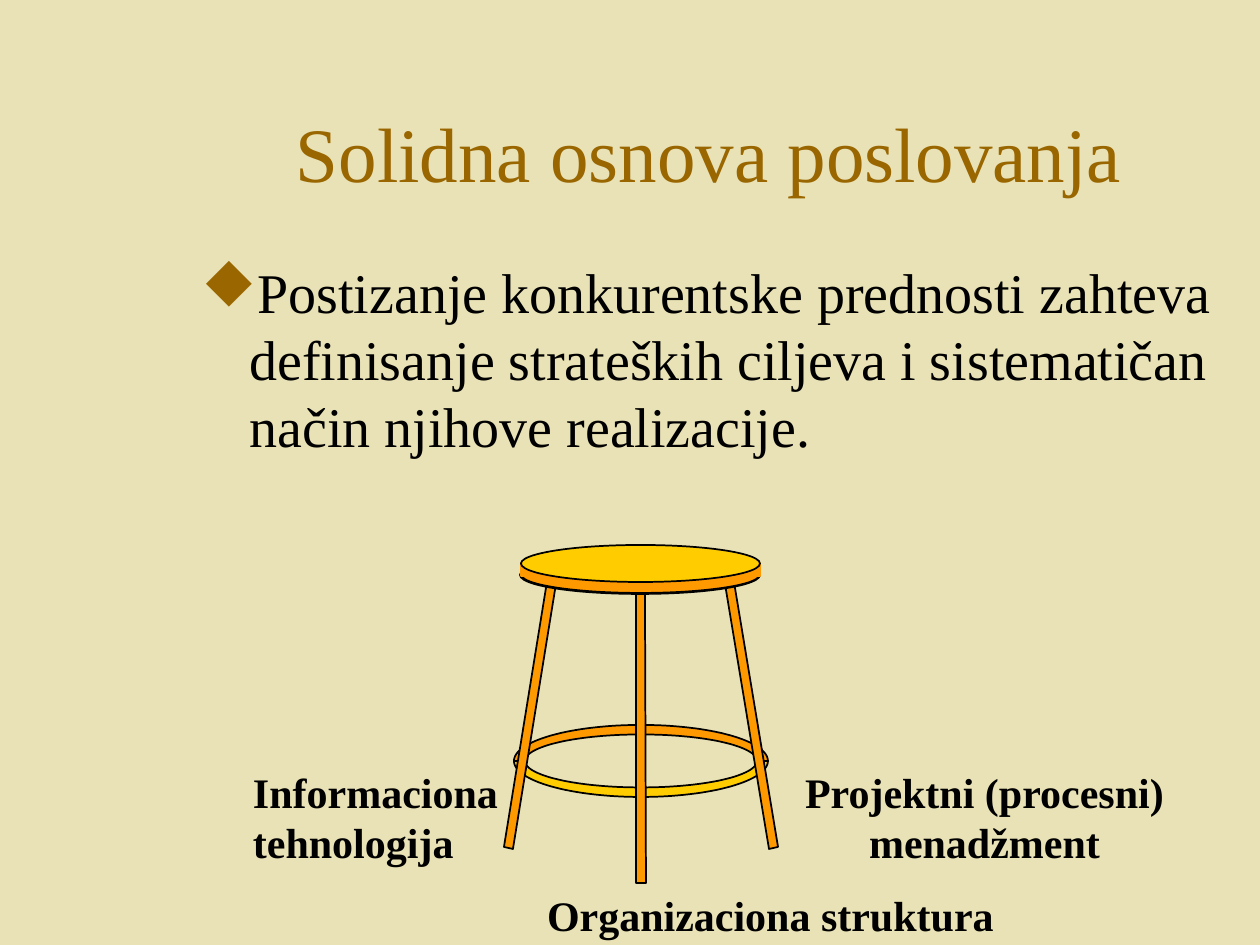
from math import cos, pi, sin

from lxml.etree import SubElement
from pptx import Presentation
from pptx.dml.color import RGBColor
from pptx.enum.shapes import MSO_SHAPE
from pptx.enum.text import MSO_ANCHOR, MSO_AUTO_SIZE, PP_ALIGN
from pptx.oxml.ns import qn
from pptx.util import Emu, Pt

PX = 914400 / 126
FINE = 100  # freeform units per px, so that curves stay smooth
FONT = "Times New Roman"
BULLET_FONT, BULLET_CHAR = "Wingdings", "u"  # a solid diamond in this font
SAND = RGBColor(0xE9, 0xE2, 0xB6)
BROWN = RGBColor(0x99, 0x66, 0x00)
BLACK = RGBColor(0, 0, 0)
ORANGE = RGBColor(0xFF, 0x99, 0x00)
YELLOW = RGBColor(0xFF, 0xCC, 0x00)

TITLE = ("Solidna osnova poslovanja", (189, 73, 1040, 158))
STATEMENT = ("Postizanje konkurentske prednosti zahteva definisanje strateških "
             "ciljeva i sistematičan način njihove realizacije.", (189, 251, 1050, 567))
LEG_LABELS = [
    (["Organizaciona struktura"], (536, 883, 470, 62), PP_ALIGN.LEFT),
    (["Informaciona", "tehnologija"], (242, 760, 278, 112), PP_ALIGN.LEFT),
    (["Projektni (procesni)", "menadžment"], (793, 760, 383, 112), PP_ALIGN.CENTER),
]

RING_CENTER, RING_OUTER, RING_INNER = (641, 761), (127, 36), (116, 26.5)
# Quarter number, counted clockwise from the right, and its colour
RING_QUARTERS = [(3, ORANGE), (0, YELLOW), (1, YELLOW), (2, ORANGE)]
LEGS = [
    [(636, 587), (636, 883), (646, 883), (645, 587)],
    [(548, 576), (504, 847), (513, 849), (557, 578)],
    [(733, 576), (778, 847), (769, 849), (724, 578)],
]
SEAT = [  # shape, box, fill, line
    (MSO_SHAPE.OVAL, (520, 556, 240, 38), None, BLACK),
    (MSO_SHAPE.OVAL, (521, 556, 239, 37), ORANGE, BLACK),
    (MSO_SHAPE.RECTANGLE, (521, 563, 8, 13), ORANGE, ORANGE),
    (MSO_SHAPE.RECTANGLE, (752, 563, 8, 13), ORANGE, ORANGE),
    (MSO_SHAPE.OVAL, (521, 545, 239, 37), YELLOW, BLACK),
]


def emu(box):
    return [Emu(round(length * PX)) for length in box]


def add_text(slide, lines, box, size, color, align=PP_ALIGN.LEFT, bold=False, **frame_format):
    frame = slide.shapes.add_textbox(*emu(box)).text_frame
    for name, value in {"word_wrap": True, **frame_format}.items():
        setattr(frame, name, value)
    frame.text = "\n".join(lines)
    for paragraph in frame.paragraphs:
        paragraph.alignment = align
        font = paragraph.runs[0].font
        for name, value in {"name": FONT, "size": Pt(size), "bold": bold}.items():
            setattr(font, name, value)
        font.color.rgb = color
    return frame


def add_diamond_bullet(paragraph):
    properties = paragraph._p.get_or_add_pPr()
    indent = round(48 * PX)
    properties.set("marL", str(indent))
    properties.set("indent", str(-indent))
    bullet_color = SubElement(properties, qn("a:buClr"))
    SubElement(bullet_color, qn("a:srgbClr"), val=str(BROWN))
    SubElement(properties, qn("a:buFont"), typeface=BULLET_FONT, pitchFamily="2", charset="2")
    SubElement(properties, qn("a:buChar"), char=BULLET_CHAR)


def paint(shape, fill, line):
    shape.shadow.inherit = False
    if fill is None:
        shape.fill.background()
    else:
        shape.fill.solid()
        shape.fill.fore_color.rgb = fill
    shape.line.color.rgb = line
    shape.line.width = Pt(1)


def add_polygon(stool, points, fill):
    start, *rest = [(x * FINE, y * FINE) for x, y in points]
    builder = stool.shapes.build_freeform(*start, scale=PX / FINE)
    builder.add_line_segments(rest, close=True)
    paint(builder.convert_to_shape(), fill, BLACK)


def quarter_arc(quarter, radii, steps=32):
    angles = [(quarter + step / steps) * pi / 2 for step in range(steps + 1)]
    return [(RING_CENTER[0] + radii[0] * cos(angle), RING_CENTER[1] + radii[1] * sin(angle))
            for angle in angles]


def add_stool(slide):
    stool = slide.shapes.add_group_shape()
    for quarter, fill in RING_QUARTERS:
        outer, inner = quarter_arc(quarter, RING_OUTER), quarter_arc(quarter, RING_INNER)
        add_polygon(stool, outer + inner[::-1], fill)
    for leg in LEGS:
        add_polygon(stool, leg, ORANGE)
    for kind, box, fill, line in SEAT:
        paint(stool.shapes.add_shape(kind, *emu(box)), fill, line)


def main():
    prs = Presentation()
    prs.slide_width, prs.slide_height = emu((1260, 945))
    slide = prs.slides.add_slide(prs.slide_layouts[6])
    slide.background.fill.solid()
    slide.background.fill.fore_color.rgb = SAND

    title, title_box = TITLE
    add_text(slide, [title], title_box, 44, BROWN, PP_ALIGN.CENTER,
             vertical_anchor=MSO_ANCHOR.MIDDLE)
    statement, statement_box = STATEMENT
    paragraph = add_text(slide, [statement], statement_box, 32, BLACK).paragraphs[0]
    paragraph.space_before = Pt(8)
    add_diamond_bullet(paragraph)
    for lines, box, align in LEG_LABELS:
        add_text(slide, lines, box, 24, BLACK, align, bold=True, word_wrap=False,
                 auto_size=MSO_AUTO_SIZE.SHAPE_TO_FIT_TEXT,
                 margin_left=Emu(round(11 * PX)), margin_right=Emu(round(11 * PX)))
    add_stool(slide)
    prs.save("out.pptx")


if __name__ == "__main__":
    main()
